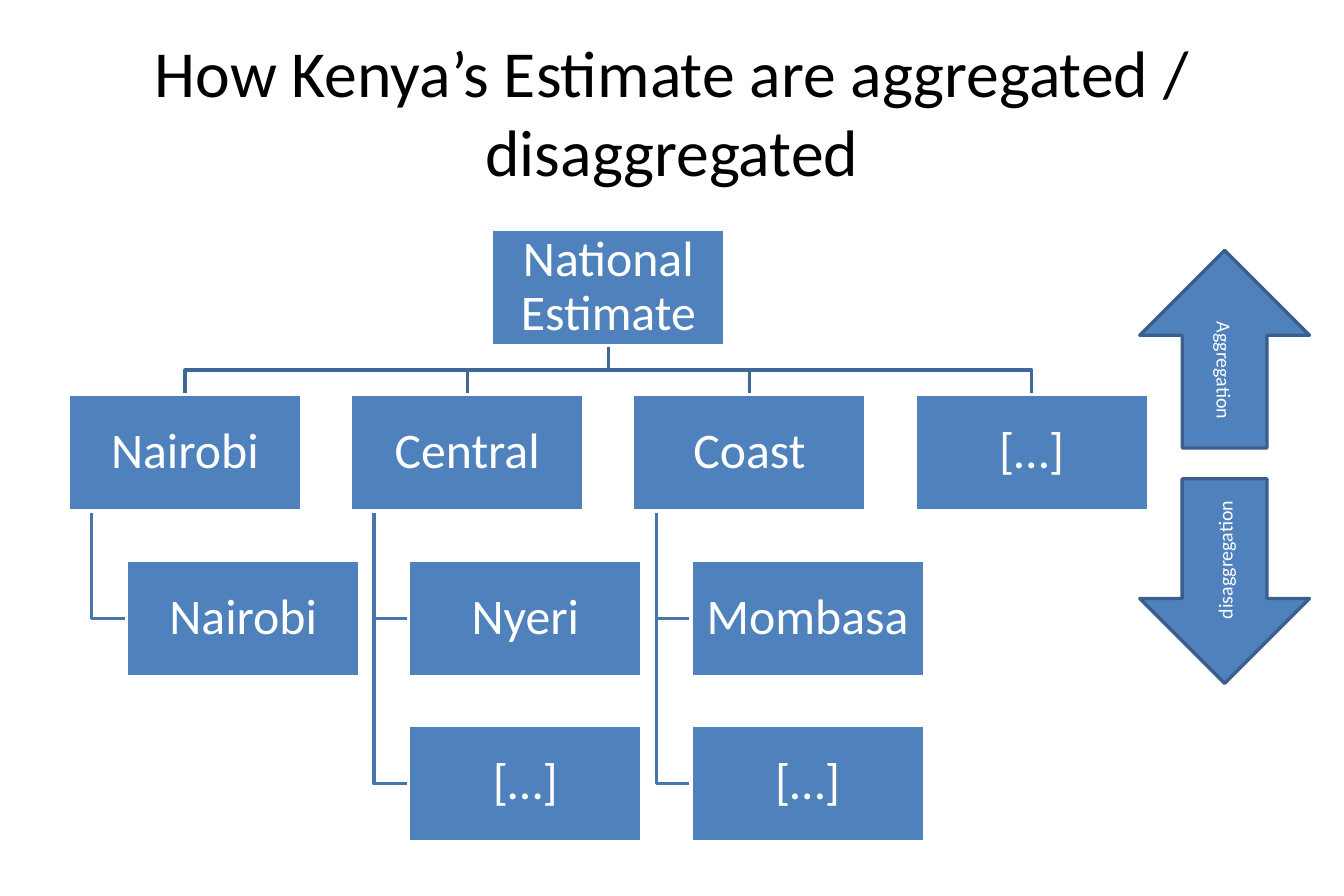
from pptx import Presentation
from pptx.dml.color import RGBColor
from pptx.enum.shapes import MSO_SHAPE
from pptx.enum.text import MSO_ANCHOR, PP_ALIGN
from pptx.util import Pt

RECTANGLE = MSO_SHAPE.RECTANGLE
DOWN_ARROW = MSO_SHAPE.DOWN_ARROW
MIDDLE = MSO_ANCHOR.MIDDLE
CENTER = PP_ALIGN.CENTER

TITLE = "How Kenya’s Estimate are aggregated / disaggregated"
NATION = "National Estimate"
REGIONS = [
    ("Nairobi", ["Nairobi"]),
    ("Central", ["Nyeri", "[…]"]),
    ("Coast", ["Mombasa", "[…]"]),
    ("[…]", []),
]
DIRECTIONS = [
    ("disaggregation", 288.6, 123.3, 0),
    ("Aggregation", 150.9, 119.1, 180),
]

BLUE, WHITE, BLACK = "4F81BD", "FFFFFF", "000000"
REGION_LINE, COUNTY_LINE, ARROW_LINE = "3F6797", "4875AC", "3A5F8C"

LEFT, TOP = 41.2, 138.1
BOX_W, BOX_H = 140.6, 70.3
COLUMN_STEP, ROW_STEP = 170.1, 99.7
COUNTY_INDENT, TRUNK_INDENT = 35.1, 14.05
ARROW_LEFT, ARROW_W = 686.9, 102.3


def color(value):
    return RGBColor.from_string(value)


def write(shape, text, size=30, ink=WHITE, inset=None, spacing=None, vert=None):
    frame = shape.text_frame
    frame.word_wrap = True
    frame.vertical_anchor = MIDDLE
    if inset is not None:
        frame.margin_left = frame.margin_right = Pt(inset)
        frame.margin_top = frame.margin_bottom = Pt(inset)
    if vert:
        shape.element.txBody.bodyPr.set("vert", vert)
    paragraph = frame.paragraphs[0]
    paragraph.alignment = CENTER
    if spacing:
        paragraph.line_spacing = spacing
    run = paragraph.add_run()
    run.text = text
    run.font.name = "Calibri"
    run.font.size = Pt(size)
    run.font.color.rgb = color(ink)


def add_solid(slide, kind, left, top, width, height, outline):
    shape = slide.shapes.add_shape(kind, Pt(left), Pt(top), Pt(width), Pt(height))
    shape.shadow.inherit = False
    shape.fill.solid()
    shape.fill.fore_color.rgb = color(BLUE)
    shape.line.color.rgb = color(outline)
    shape.line.width = Pt(2)
    return shape


def add_branch(slide, points, ink):
    start, *rest = [(Pt(x), Pt(y)) for x, y in points]
    builder = slide.shapes.build_freeform(*start)
    builder.add_line_segments(rest, close=False)
    branch = builder.convert_to_shape()
    branch.shadow.inherit = False
    branch.fill.background()
    branch.line.color.rgb = color(ink)
    branch.line.width = Pt(2)


def plan_tree():
    nation_left = LEFT + (len(REGIONS) - 1) / 2 * COLUMN_STEP
    nation_mid = nation_left + BOX_W / 2
    nation_bottom = TOP + BOX_H
    region_top = TOP + ROW_STEP
    bend = (nation_bottom + region_top) / 2
    boxes = [(NATION, nation_left, TOP)]
    branches = []
    for column, (region, counties) in enumerate(REGIONS):
        left = LEFT + column * COLUMN_STEP
        middle = left + BOX_W / 2
        boxes.append((region, left, region_top))
        branches.append(([(nation_mid, nation_bottom), (nation_mid, bend),
                          (middle, bend), (middle, region_top)], REGION_LINE))
        trunk = left + TRUNK_INDENT
        county_left = left + COUNTY_INDENT
        for row, county in enumerate(counties, start=1):
            top = region_top + row * ROW_STEP
            county_mid = top + BOX_H / 2
            boxes.append((county, county_left, top))
            branches.append(([(trunk, region_top + BOX_H), (trunk, county_mid),
                              (county_left, county_mid)], COUNTY_LINE))
    return boxes, branches


def main():
    deck = Presentation()
    deck.slide_width, deck.slide_height = Pt(810), Pt(540)
    slide = deck.slides.add_slide(deck.slide_layouts[6])

    title = slide.shapes.add_textbox(Pt(40.5), Pt(21.6), Pt(729), Pt(90))
    write(title, TITLE, size=39.6, ink=BLACK)

    boxes, branches = plan_tree()
    for points, ink in branches:
        add_branch(slide, points, ink)
    for name, left, top in boxes:
        box = add_solid(slide, RECTANGLE, left, top, BOX_W, BOX_H, WHITE)
        write(box, name, inset=1.5, spacing=0.9)

    for direction, top, height, rotation in DIRECTIONS:
        arrow = add_solid(slide, DOWN_ARROW, ARROW_LEFT, top, ARROW_W, height, ARROW_LINE)
        arrow.rotation = rotation
        write(arrow, direction, size=12, vert="vert270")

    deck.save("out.pptx")


if __name__ == "__main__":
    main()
